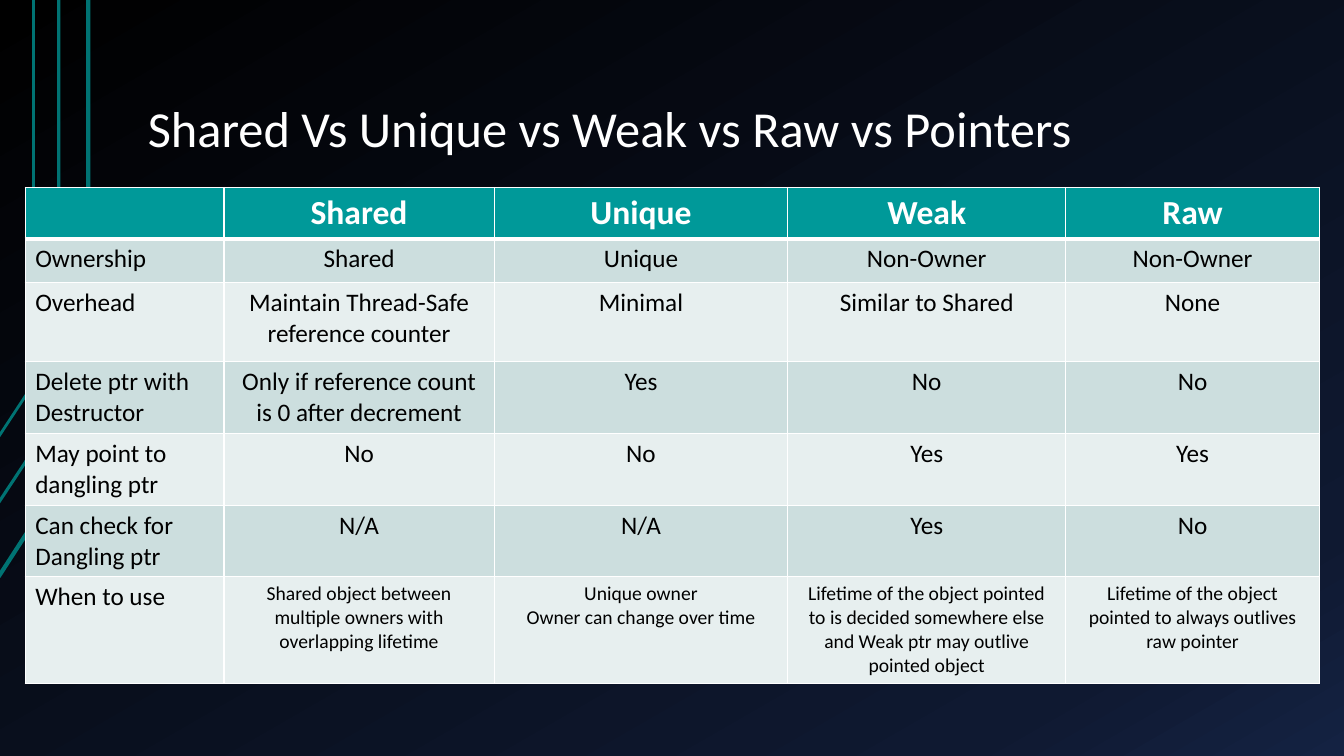
from dataclasses import dataclass

from lxml.etree import SubElement
from pptx import Presentation
from pptx.dml.color import RGBColor
from pptx.enum.text import MSO_ANCHOR, PP_ALIGN
from pptx.oxml.ns import qn
from pptx.util import Pt

COLORS = {
    "night": "000000", "navy": "0F1931", "blue": "142242",
    "line": "007373", "header": "009999",
    "band_dark": "CCDEDE", "band_light": "E7EFEF",
    "white": "FFFFFF", "black": "000000",
}
FONT = "Calibri"
BACKGROUND_STOPS = [(0, "night"), (85, "navy"), (100, "blue")]
BACKGROUND_ANGLE = 60


@dataclass(frozen=True)
class AccentLine:
    points: list[tuple[float, float]]
    width: float


@dataclass(frozen=True)
class TableRow:
    height: float
    texts: list[str]
    body_size: float = 18


ACCENT_LINES = [
    AccentLine([(-0.7, 412), (63.4, 313.2), (63.4, 0)], 3),
    AccentLine([(-1.4, 359.3), (41.8, 293.8), (41.8, 0)], 2.25),
    AccentLine([(-0.7, 312.5), (24.5, 274.3), (24.5, 0)], 2),
]
COLUMN_WIDTHS = [142, 193, 209.8, 198.4, 181.4]
ROWS = [
    TableRow(36.5, ["", "Shared", "Unique", "Weak", "Raw"], 24),
    TableRow(31.5, ["Ownership", "Shared", "Unique", "Non-Owner", "Non-Owner"]),
    TableRow(56.5, ["Overhead", "Maintain Thread-Safe reference counter",
                    "Minimal", "Similar to Shared", "None"]),
    TableRow(51.2, ["Delete ptr with Destructor",
                    "Only if reference count is 0 after decrement",
                    "Yes", "No", "No"]),
    TableRow(51.2, ["May point to dangling ptr", "No", "No", "Yes", "Yes"]),
    TableRow(51.2, ["Can check for\nDangling ptr", "N/A", "N/A", "Yes", "No"]),
    TableRow(76, [
        "When to use",
        "Shared object between multiple owners with overlapping lifetime",
        "Unique owner\nOwner can change over time",
        "Lifetime of the object pointed to is decided somewhere else "
        "and Weak ptr may outlive pointed object",
        "Lifetime of the object pointed to always outlives raw pointer",
    ], 14),
]


def rgb(name: str) -> RGBColor:
    return RGBColor.from_string(COLORS[name])


def set_attributes(target, values: dict) -> None:
    for name, value in values.items():
        setattr(target, name, value)


def format_text(text_frame, size: float, color: str, bold: bool, alignment) -> None:
    for paragraph in text_frame.paragraphs:
        paragraph.alignment = alignment
        set_attributes(paragraph.font, {"name": FONT, "size": Pt(size), "bold": bold})
        paragraph.font.color.rgb = rgb(color)


def paint_background(slide) -> None:
    slide.background.fill.gradient()
    gradient = next(slide.element.iter(qn("a:gradFill")))
    for child in list(gradient):
        gradient.remove(child)
    stops = SubElement(gradient, qn("a:gsLst"))
    for position, color in BACKGROUND_STOPS:
        stop = SubElement(stops, qn("a:gs"), pos=str(position * 1000))
        SubElement(stop, qn("a:srgbClr"), val=COLORS[color])
    SubElement(gradient, qn("a:lin"), ang=str(BACKGROUND_ANGLE * 60000), scaled="0")


def draw_accent_line(slide, accent: AccentLine) -> None:
    start, *others = accent.points
    builder = slide.shapes.build_freeform(*start, scale=Pt(1))
    builder.add_line_segments(others, close=False)
    shape = builder.convert_to_shape()
    shape.shadow.inherit = False
    shape.fill.background()
    shape.line.color.rgb = rgb("line")
    shape.line.width = Pt(accent.width)


def add_border(cell, side: str, width: float) -> None:
    properties = cell._tc.get_or_add_tcPr()
    border = SubElement(properties, qn(f"a:ln{side}"), w=str(Pt(width)))
    fill = SubElement(border, qn("a:solidFill"))
    SubElement(fill, qn("a:srgbClr"), val=COLORS["white"])


def fill_cell(cell, row: TableRow, row_index: int, column_index: int) -> None:
    is_header = row_index == 0
    is_label = column_index == 0
    cell.text = row.texts[column_index]
    format_text(
        cell.text_frame,
        size=18 if is_label and not is_header else row.body_size,
        color="white" if is_header else "black",
        bold=is_header,
        alignment=PP_ALIGN.LEFT if is_label else PP_ALIGN.CENTER,
    )
    # A thick rule divides the header from the body
    top, bottom = (3 if row_index == 1 else 1), (3 if is_header else 1)
    for side, width in {"L": 1, "R": 1, "T": top, "B": bottom}.items():
        add_border(cell, side, width)
    band = "band_dark" if row_index % 2 else "band_light"
    cell.fill.solid()
    cell.fill.fore_color.rgb = rgb("header" if is_header else band)


def add_comparison_table(slide) -> None:
    table = slide.shapes.add_table(
        len(ROWS), len(COLUMN_WIDTHS), Pt(18), Pt(134),
        Pt(sum(COLUMN_WIDTHS)), Pt(sum(row.height for row in ROWS)),
    ).table
    for column, width in zip(table.columns, COLUMN_WIDTHS):
        column.width = Pt(width)
    for row_index, row in enumerate(ROWS):
        table.rows[row_index].height = Pt(row.height)
        for column_index in range(len(COLUMN_WIDTHS)):
            fill_cell(table.cell(row_index, column_index), row, row_index, column_index)


def add_title(slide, text: str) -> None:
    title = slide.shapes.title
    set_attributes(title, {"left": Pt(96), "top": Pt(21.6),
                           "width": Pt(816), "height": Pt(96.5)})
    frame = title.text_frame
    frame.text = text
    set_attributes(frame, {
        "word_wrap": True, "vertical_anchor": MSO_ANCHOR.BOTTOM,
        "margin_left": Pt(9.6), "margin_right": Pt(9.6),
        "margin_top": Pt(4.8), "margin_bottom": Pt(4.8),
    })
    format_text(frame, 36, "white", False, PP_ALIGN.LEFT)
    frame.paragraphs[0].line_spacing = 0.9


presentation = Presentation()
set_attributes(presentation, {"slide_width": Pt(960), "slide_height": Pt(540)})
slide = presentation.slides.add_slide(presentation.slide_layouts.get_by_name("Title Only"))

# Background and accent lines
paint_background(slide)
for accent_line in ACCENT_LINES:
    draw_accent_line(slide, accent_line)

# Title and comparison table
add_title(slide, "Shared Vs Unique vs Weak vs Raw vs Pointers")
add_comparison_table(slide)

presentation.save("out.pptx")
